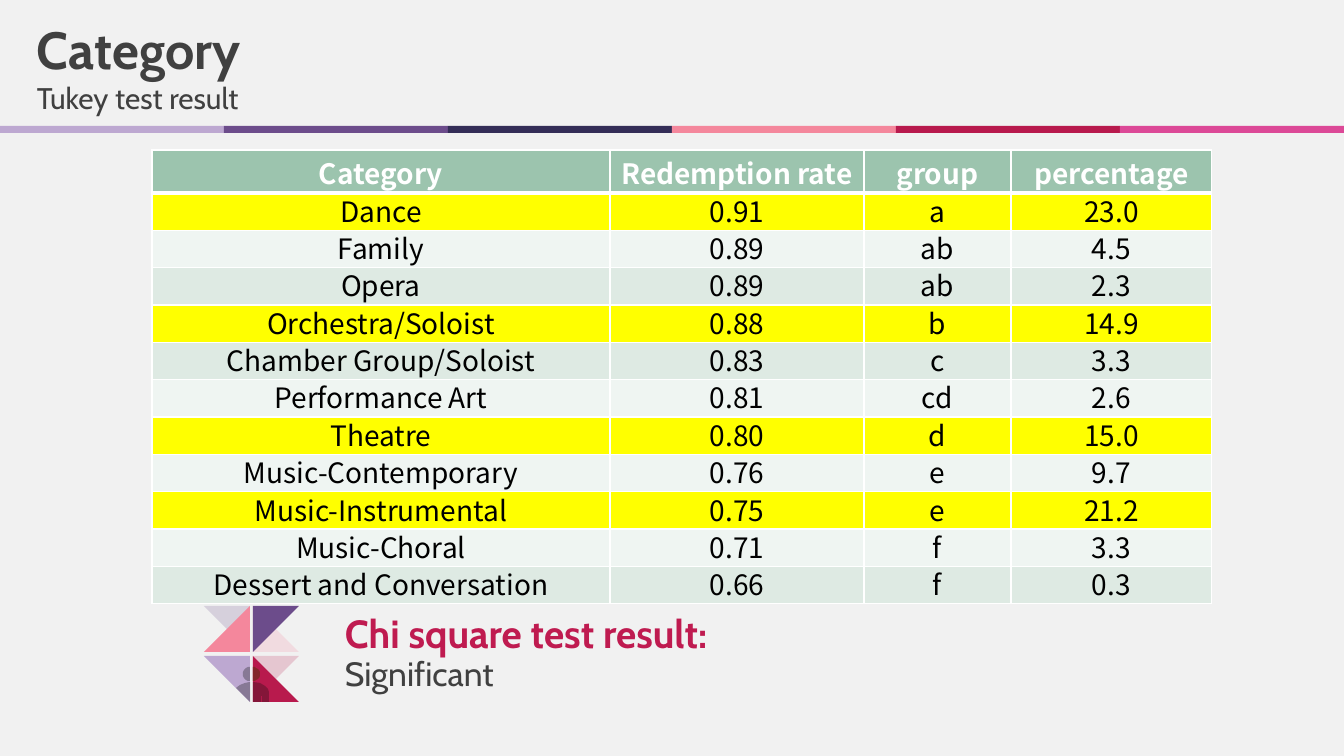
import math
from dataclasses import dataclass

import pptx
import pptx.dml.color
import pptx.enum.shapes
import pptx.enum.text
import pptx.oxml
import pptx.oxml.ns
import pptx.util

HEADING = "Category"
SUBHEADING = "Tukey test result"
CHI_HEADING = "Chi square test result:"
CHI_RESULT = "Significant"
COLUMNS = ["Category", "Redemption rate", "group", "percentage"]
CATEGORIES = [
    ("Dance", "0.91", "a", "23.0"),
    ("Family", "0.89", "ab", "4.5"),
    ("Opera", "0.89", "ab", "2.3"),
    ("Orchestra/Soloist", "0.88", "b", "14.9"),
    ("Chamber Group/Soloist", "0.83", "c", "3.3"),
    ("Performance Art", "0.81", "cd", "2.6"),
    ("Theatre", "0.80", "d", "15.0"),
    ("Music-Contemporary", "0.76", "e", "9.7"),
    ("Music-Instrumental", "0.75", "e", "21.2"),
    ("Music-Choral", "0.71", "f", "3.3"),
    ("Dessert and Conversation", "0.66", "f", "0.3"),
]
HIGHLIGHTED = {"Dance", "Orchestra/Soloist", "Theatre", "Music-Instrumental"}


@dataclass(frozen=True)
class Theme:
    font: str = "Cabin"
    table_font: str = "Noto Sans CJK KR"
    background: str = "F1F1F1"
    text: str = "404040"
    accent: str = "BF1B50"
    white: str = "FFFFFF"
    black: str = "000000"
    shade: str = "0D0D0D"
    lilac: str = "BDA8D1"
    purple: str = "6C4C8B"
    navy: str = "342D57"
    salmon: str = "F4879C"
    crimson: str = "B81A4D"
    magenta: str = "DC4997"
    brick: str = "B73336"
    header: str = "9CC4AE"
    highlight: str = "FFFF00"
    bands: tuple = ("DEEAE3", "EFF5F2")
    heading_size: float = 37.3
    subheading_size: float = 21.3
    chi_size: float = 28
    result_size: float = 24
    table_size: float = 20
    table_line: float = 25.5


THEME = Theme()
PAGE_WIDTH, PAGE_HEIGHT = 1344, 756
SCALE = 914400 / 100.8

STRIP_TOP, STRIP_HEIGHT = 126, 7
STRIP_COLOURS = [THEME.lilac, THEME.purple, THEME.navy, THEME.salmon, THEME.crimson, THEME.magenta]

TABLE_LEFT, TABLE_TOP = 152, 150
COLUMN_WIDTHS = [458, 254, 147, 201]
HEADER_HEIGHT, BODY_HEIGHT = 43, 411

ICON_LEFT, ICON_TOP = 204, 606
TILE, RIGHT, LOWER = 46, 49, 50
ICON_END, ICON_BOTTOM = RIGHT + TILE, LOWER + TILE
HEAD_Y, HEAD_RADIUS = 68, 7


def half_head(x, side):
    angles = [math.radians(step * 15 - 90) for step in range(13)]
    return [(x + side * HEAD_RADIUS * math.cos(a), HEAD_Y + HEAD_RADIUS * math.sin(a)) for a in angles]


LEFT_BODY = [(46, 76), (41, 77), (36, 79), (32, 82), (46, 96)]
RIGHT_BODY = [(49, 76), (56, 77), (61, 80), (64, 83), (65, 86), (65, 96),
              (58, 96), (58, 90), (57, 90), (57, 96), (49, 96)]
ICON_PARTS = [
    ([(RIGHT, 0), (RIGHT, TILE), (ICON_END, TILE)], THEME.salmon, 20),
    ([(TILE, 0), (0, 0), (TILE, TILE)], THEME.purple, 20),
    ([(ICON_END, 0), (RIGHT, 0), (RIGHT, TILE)], THEME.purple, 100),
    ([(ICON_END, LOWER), (RIGHT, LOWER), (RIGHT, ICON_BOTTOM), (RIGHT, LOWER),
      (RIGHT + TILE / 2, LOWER + TILE / 2)], THEME.crimson, 20),
    ([(0, TILE), (TILE, TILE), (TILE, 0)], THEME.salmon, 100),
    ([(TILE, ICON_BOTTOM), (TILE, LOWER), (0, LOWER)], THEME.lilac, 100),
    ([(RIGHT, LOWER), (RIGHT, ICON_BOTTOM), (ICON_END, ICON_BOTTOM)], THEME.crimson, 100),
    (half_head(TILE, -1), THEME.shade, 30),
    (LEFT_BODY, THEME.shade, 30),
    (half_head(RIGHT, 1), THEME.brick, 100),
    (half_head(RIGHT, 1), THEME.shade, 30),
    (RIGHT_BODY, THEME.shade, 30),
]


def px(value):
    return pptx.util.Emu(round(value * SCALE))


def rgb(colour):
    return pptx.dml.color.RGBColor.from_string(colour)


def paint(shape, colour, opacity=100):
    shape.shadow.inherit = False
    shape.line.fill.background()
    shape.fill.solid()
    shape.fill.fore_color.rgb = rgb(colour)
    if opacity < 100:
        fill = shape.fill._xPr.find(pptx.oxml.ns.qn("a:solidFill"))
        alpha = pptx.oxml.parse_xml(f'<a:alpha {pptx.oxml.ns.nsdecls("a")} val="{opacity * 1000}"/>')
        fill[0].append(alpha)


def write(para, text, size, colour, bold=False, font=THEME.font):
    span = para.add_run()
    span.text = text
    span.font.name = font
    span.font.size = pptx.util.Pt(size)
    span.font.bold = bold
    span.font.color.rgb = rgb(colour)


def fill_box(box, place, text, size, colour, bold=False, anchor=pptx.enum.text.MSO_ANCHOR.TOP):
    box.left, box.top, box.width, box.height = map(px, place)
    frame = box.text_frame
    frame.word_wrap = True
    frame.auto_size = pptx.enum.text.MSO_AUTO_SIZE.NONE
    frame.vertical_anchor = anchor
    frame.margin_left = frame.margin_top = frame.margin_right = frame.margin_bottom = 0
    para = frame.paragraphs[0]
    para.alignment = pptx.enum.text.PP_ALIGN.LEFT
    write(para, text, size, colour, bold)
    return para


def add_block(page, left, top, width, height, colour):
    block = page.shapes.add_shape(pptx.enum.shapes.MSO_SHAPE.RECTANGLE,
                                  px(left), px(top), px(width), px(height))
    paint(block, colour)
    return block


def add_backdrop(page):
    backdrop = add_block(page, 0, 0, PAGE_WIDTH, PAGE_HEIGHT, THEME.background)
    page.shapes._spTree.insert(2, backdrop._element)


def add_strip(page):
    width = PAGE_WIDTH // len(STRIP_COLOURS)
    for index, colour in enumerate(STRIP_COLOURS):
        add_block(page, index * width, STRIP_TOP, width, STRIP_HEIGHT, colour)


def add_icon(page):
    icon = page.shapes.add_group_shape()
    for points, colour, opacity in ICON_PARTS:
        corners = [(ICON_LEFT + x, ICON_TOP + y) for x, y in points]
        outline = icon.shapes.build_freeform(*corners[0], scale=SCALE)
        outline.add_line_segments(corners[1:], close=True)
        paint(outline.convert_to_shape(), colour, opacity)


def add_borders(cell, bottom, top):
    properties = cell._tc.get_or_add_tcPr()
    for index, (side, width) in enumerate([("L", 1), ("R", 1), ("T", top), ("B", bottom)]):
        border = pptx.oxml.parse_xml(
            f'<a:ln{side} {pptx.oxml.ns.nsdecls("a")} w="{pptx.util.Pt(width)}"><a:solidFill>'
            f'<a:srgbClr val="{THEME.white}"/></a:solidFill></a:ln{side}>')
        properties.insert(index, border)


def add_table(page):
    rows = [COLUMNS, *CATEGORIES]
    frame = page.shapes.add_table(len(rows), len(COLUMNS), px(TABLE_LEFT), px(TABLE_TOP),
                                  px(sum(COLUMN_WIDTHS)), px(HEADER_HEIGHT + BODY_HEIGHT))
    table = frame.table
    for column, width in zip(table.columns, COLUMN_WIDTHS):
        column.width = px(width)
    for number, values in enumerate(rows):
        is_header = number == 0
        table.rows[number].height = px(HEADER_HEIGHT if is_header else BODY_HEIGHT / len(CATEGORIES))
        fill = THEME.highlight if values[0] in HIGHLIGHTED else THEME.bands[(number + 1) % 2]
        for cell, value in zip(table.rows[number].cells, values):
            cell.fill.solid()
            cell.fill.fore_color.rgb = rgb(THEME.header if is_header else fill)
            cell.margin_left = cell.margin_right = cell.margin_top = px(1)
            cell.margin_bottom = 0
            cell.vertical_anchor = pptx.enum.text.MSO_ANCHOR.BOTTOM
            add_borders(cell, bottom=3 if is_header else 1, top=3 if number == 1 else 1)
            para = cell.text_frame.paragraphs[0]
            para.alignment = pptx.enum.text.PP_ALIGN.CENTER
            para.line_spacing = pptx.util.Pt(THEME.table_line)
            write(para, value, THEME.table_size, THEME.white if is_header else THEME.black,
                  is_header, THEME.table_font)


def main():
    deck = pptx.Presentation()
    deck.slide_width, deck.slide_height = px(PAGE_WIDTH), px(PAGE_HEIGHT)
    page = deck.slides.add_slide(deck.slide_layouts[5])
    add_backdrop(page)
    add_strip(page)
    add_icon(page)
    fill_box(page.shapes.title, (37, 17, 1228, 61), HEADING, THEME.heading_size, THEME.text, True)
    fill_box(page.shapes.add_textbox(0, 0, 0, 0), (37, 80, 1228, 42), SUBHEADING,
             THEME.subheading_size, THEME.text)
    chi = fill_box(page.shapes.add_textbox(0, 0, 0, 0), (345, 615, 427, 42), CHI_HEADING,
                   THEME.chi_size, THEME.accent, True)
    chi.line_spacing = 0.9
    fill_box(page.shapes.add_textbox(0, 0, 0, 0), (345, 653, 677, 40), CHI_RESULT,
             THEME.result_size, THEME.text, anchor=pptx.enum.text.MSO_ANCHOR.MIDDLE)
    add_table(page)
    deck.save("out.pptx")


if __name__ == "__main__":
    main()
